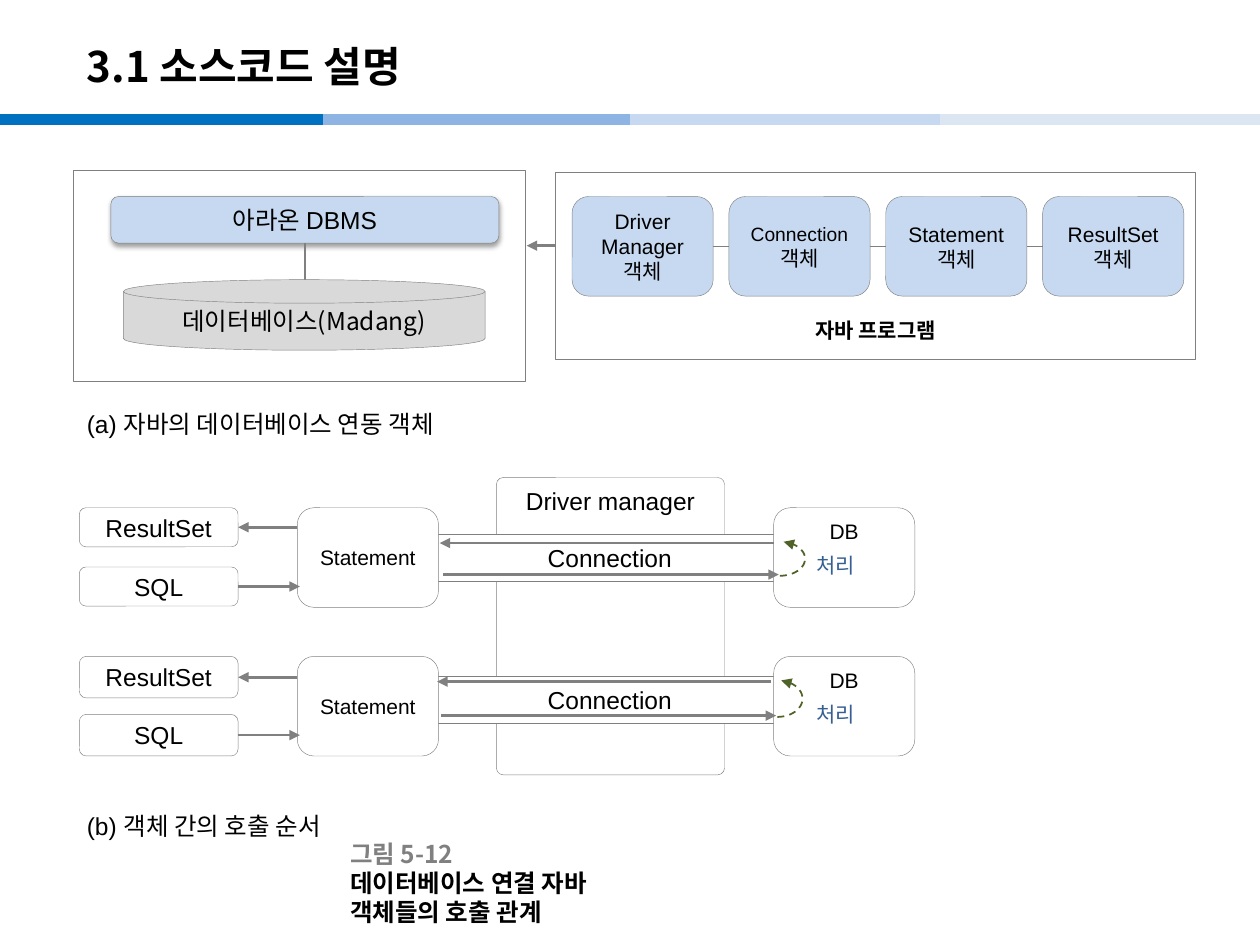
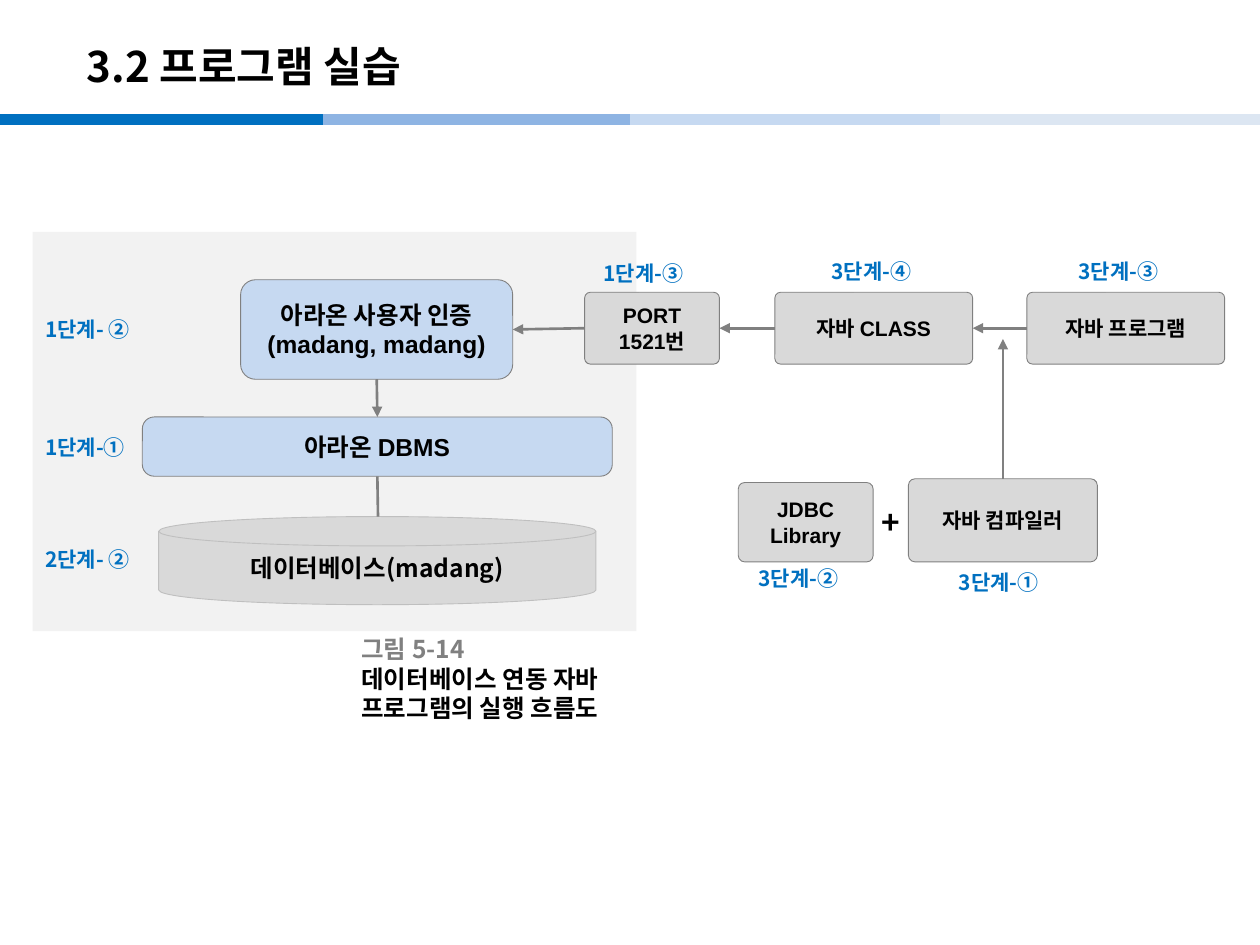
import math
from lxml import etree
from pptx import Presentation
from pptx.dml.color import RGBColor
from pptx.enum import dml, shapes, text
from pptx.oxml import ns
from pptx.util import Inches, Pt

LATIN, KOREAN = "Arial", "Noto Sans CJK KR"
BLACK, WHITE, GRAY, SILVER = "000000", "FFFFFF", "808080", "D9D9D9"
BLUE, PALE, GREEN = "0070C0", "C6D9F1", "4F6228"
BANDS = [(0, BLUE), (2.56, "8EB4E3"), (5, PALE), (7.46, "DCE6F2")]
ROUND = shapes.MSO_SHAPE.ROUNDED_RECTANGLE
RECT = shapes.MSO_SHAPE.RECTANGLE
DISK = shapes.MSO_SHAPE.FLOWCHART_MAGNETIC_DISK
CENTER, LEFT = text.PP_ALIGN.CENTER, text.PP_ALIGN.LEFT
MIDDLE, TOP, BOTTOM = (text.MSO_ANCHOR.MIDDLE, text.MSO_ANCHOR.TOP,
                       text.MSO_ANCHOR.BOTTOM)
UP, WEST, DOWN, EAST = range(4)


def rgb(value):
    return RGBColor.from_string(value)


def child(parent, tag, **attrs):
    return etree.SubElement(parent, ns.qn(tag), attrs)


def add_run(p, words, size, color, bold, font):
    r = p.add_run()
    r.text = words
    formats = {"size": Pt(size), "bold": bold, "name": font}
    for key, value in formats.items():
        setattr(r.font, key, value)
    r.font.color.rgb = rgb(color)
    child(r.font._element, "a:ea", typeface=KOREAN)


def write(sp, words, size=12, color=BLACK, bold=False, font=LATIN,
          align=CENTER, anchor=MIDDLE, wrap=True):
    tf = sp.text_frame
    for key, value in {"word_wrap": wrap, "vertical_anchor": anchor}.items():
        setattr(tf, key, value)
    for i, line in enumerate(words.split("\n")):
        p = tf.add_paragraph() if i else tf.paragraphs[0]
        p.alignment = align
        add_run(p, line, size, color, bold, font)
    return sp


def add_label(s, box, words, **fmt):
    sp = s.shapes.add_textbox(*map(Inches, box))
    return write(sp, words, **{"align": LEFT, "anchor": TOP, **fmt})


def add_box(s, kind, box, words="", fill=WHITE, line=GRAY, width=0.25,
            adj=None, **fmt):
    sp = s.shapes.add_shape(kind, *map(Inches, box))
    sp.shadow.inherit = False
    sp.fill.solid()
    sp.fill.fore_color.rgb = rgb(fill)
    if line:
        sp.line.color.rgb = rgb(line)
        sp.line.width = Pt(width)
    else:
        sp.line.fill.background()
    if adj is not None:
        sp.adjustments[0] = adj
    if words:
        write(sp, words, **fmt)
    return sp


def add_arrowhead(sp):
    child(sp.line._get_or_add_ln(), "a:tailEnd", type="triangle")


def add_line(s, start, end, color=GRAY, width=1.5, arrow=False):
    joins = [not isinstance(e[0], (int, float)) for e in (start, end)]
    points = [(0, 0) if join else e for join, e in zip(joins, (start, end))]
    c = s.shapes.add_connector(shapes.MSO_CONNECTOR.STRAIGHT,
                               *(Inches(v) for xy in points for v in xy))
    if joins[0]:
        c.begin_connect(*start)
    if joins[1]:
        c.end_connect(*end)
    c.line.color.rgb = rgb(color)
    c.line.width = Pt(width)
    if arrow:
        add_arrowhead(c)
    child(c._element.spPr, "a:effectLst")
    return c


def add_soft_shadow(sp):
    effects = sp._element.spPr.find(ns.qn("a:effectLst"))
    shadow = child(effects, "a:outerShdw", blurRad=str(Pt(3.1)),
                   dist=str(Pt(1.6)), dir="5400000", rotWithShape="0")
    child(child(shadow, "a:srgbClr", val=BLACK), "a:alpha", val="38000")


def add_turn(s, x, top, bottom):
    mid, radius = (top + bottom) / 2, (bottom - top) / 2
    angles = [math.pi * i / 24 for i in range(23)]
    points = [(Inches(x + 0.2 * math.sin(a)), Inches(mid + radius * math.cos(a)))
              for a in angles]
    fb = s.shapes.build_freeform(*points[0])
    fb.add_line_segments(points[1:] + [(Inches(x + 0.03), Inches(top))],
                         close=False)
    sp = fb.convert_to_shape()
    sp.shadow.inherit = False
    sp.fill.background()
    sp.line.color.rgb = rgb(GREEN)
    sp.line.width = Pt(1)
    sp.line.dash_style = dml.MSO_LINE.DASH
    add_arrowhead(sp)


def start_slide(prs, title):
    s = prs.slides.add_slide(prs.slide_layouts[6])
    for x, color in BANDS:
        add_line(s, (x, 0.95), (x + 2.56, 0.95), color, 6)
    add_label(s, (0.59, 0.22, 8.27, 0.6), title, size=24, bold=True,
              font=KOREAN, anchor=MIDDLE)
    return s


def add_caption(s, x, y, number, words):
    sp = add_label(s, (x, y, 2.09, 0.31), number, size=14, color=GRAY,
                   bold=True, font=KOREAN, anchor=MIDDLE, wrap=False)
    add_run(sp.text_frame.paragraphs[0], words, 14, BLACK, True, KOREAN)


def database_panel(s, x, y):
    add_box(s, RECT, (x, y, 3.59, 1.68))
    dbms = add_box(s, ROUND, (x + 0.3, y + 0.21, 3.08, 0.37), "아라온 DBMS",
                   PALE, size=14)
    add_soft_shadow(dbms)
    add_line(s, (dbms, DOWN), (x + 1.84, y + 0.87), width=1)
    add_box(s, DISK, (x + 0.4, y + 0.87, 2.87, 0.56), "데이터베이스(Madang)",
            SILVER, size=14, font=KOREAN)


def java_panel(s, x, y):
    panel = add_box(s, RECT, (x, y, 5.08, 1.48), "자바 프로그램",
                    bold=True, anchor=BOTTOM)
    panel.text_frame.margin_bottom = Inches(0.13)
    names = ["Driver Manager", "Connection", "Statement", "ResultSet"]
    previous = None
    for i, name in enumerate(names):
        sp = add_box(s, ROUND, (x + 0.13 + 1.245 * i, y + 0.19, 1.12, 0.79),
                     name + "\n객체", PALE)
        if name == "Connection":
            sp.text_frame.paragraphs[0].runs[0].font.size = Pt(11)
        if previous:
            add_line(s, (previous, EAST), (sp, WEST), width=0.25)
        previous = sp


def call_row(s, x, y, height, sql, pipe, back, forth, shift):
    add_box(s, RECT, (x + 2.36, y + pipe, 3.7, 0.37), "Connection", size=14)
    add_box(s, ROUND, (x + 1.73, y, 1.12, 0.79), "Statement")
    add_box(s, ROUND, (x + 5.51, y, 1.12, 0.79), "DB", anchor=TOP)
    result, query = [
        add_box(s, ROUND, (x, y + dy, 1.26, height), name, size=14)
        for dy, name in [(0, "ResultSet"), (sql, "SQL")]]
    middle = height / 2
    add_line(s, (x + 1.73, y + middle), (result, EAST), arrow=True)
    add_line(s, (query, EAST), (x + 1.75, y + sql + middle), arrow=True)
    left = x + shift
    add_line(s, (left + 5.51, y + back), (left + 2.86, y + back), arrow=True)
    add_line(s, (left + 2.89, y + forth), (left + 5.55, y + forth), arrow=True)
    add_turn(s, left + 5.56, y + back - 0.01, y + forth + 0.01)
    add_label(s, (x + 5.75, y + 0.31, 1.09, 0.3), "처리", color="376092",
              font=KOREAN)


def source_slide(prs):
    s = start_slide(prs, "3.1 소스코드 설명")
    database_panel(s, 0.58, 1.35)
    java_panel(s, 4.41, 1.37)
    add_line(s, (4.41, 1.95), (4.18, 1.95), arrow=True)
    for y, words in [(3.2, "(a) 자바의 데이터베이스 연동 객체"),
                     (6.39, "(b) 객체 간의 호출 순서")]:
        add_label(s, (0.59, y, 3.25, 0.34), words, size=14, wrap=False)
    add_box(s, ROUND, (3.94, 3.79, 1.81, 2.36), "Driver manager", adj=0.03,
            size=14, anchor=TOP)
    call_row(s, 0.63, 4.03, height=0.31, sql=0.47, pipe=0.21, back=0.28,
             forth=0.53, shift=0)
    call_row(s, 0.63, 5.21, height=0.33, sql=0.46, pipe=0.16, back=0.2,
             forth=0.47, shift=-0.02)
    add_caption(s, 2.68, 6.85, "그림 5-12 ",
                "데이터베이스 연결 자바 객체들의 호출 관계")


def add_step(s, x, y, words):
    add_label(s, (x, y, 1.09, 0.3), words, color=BLUE, bold=True, font=KOREAN)


def server_region(s, x, y):
    add_box(s, RECT, (x, y, 4.79, 3.17), fill="F2F2F2", line=None)
    look = {"width": 0.5, "size": 14, "bold": True}
    dbms = add_box(s, ROUND, (x + 0.87, y + 1.47, 3.73, 0.47), "아라온 DBMS",
                   PALE, adj=0.2, **look)
    login = add_box(s, ROUND, (x + 1.65, y + 0.38, 2.16, 0.79),
                    "아라온 사용자 인증\n(madang, madang)", PALE, adj=0.15, **look)
    add_box(s, DISK, (x + 1, y + 2.26, 3.47, 0.7), "데이터베이스(madang)",
            SILVER, line="BFBFBF", font=KOREAN, **look)
    add_line(s, (login, DOWN), (dbms, UP), arrow=True)
    add_line(s, (dbms, DOWN), (x + 2.74, y + 2.26))
    for dy, words in [(0.62, "1단계- ②"), (1.56, "1단계-①"), (2.45, "2단계- ②")]:
        add_step(s, x, y + dy, words)
    return login


def client_region(s, x, y, login):
    parts = [(0, 0, 1.07, 0.57, "PORT\n1521번", 0.05, -0.3, "1단계-③"),
             (1.51, 0, 1.57, 0.57, "자바 CLASS", 0.35, -0.32, "3단계-④"),
             (3.51, 0, 1.57, 0.57, "자바 프로그램", 0.31, -0.32, "3단계-③"),
             (1.22, 1.51, 1.07, 0.63, "JDBC\nLibrary", 0.06, 0.61, "3단계-②"),
             (2.57, 1.48, 1.5, 0.66, "자바 컴파일러", 0.3, 0.67, "3단계-①")]
    boxes = []
    for dx, dy, w, h, words, step_x, step_y, step in parts:
        left, top = x + dx, y + dy
        boxes.append(add_box(s, ROUND, (left, top, w, h), words, SILVER,
                             width=0.5, adj=0.08, bold=True))
        add_step(s, left + step_x, top + step_y, step)
    port, klass, program, _, compiler = boxes
    for source, target in [(program, klass), (klass, port), (port, login)]:
        add_line(s, (source, WEST), (target, EAST), arrow=True)
    add_line(s, (compiler, UP), (x + 3.32, y + 0.37), arrow=True)
    add_label(s, (x + 2.26, y + 1.62, 0.4, 0.4), "+", size=18, bold=True,
              font=KOREAN)


def flow_slide(prs):
    s = start_slide(prs, "3.2 프로그램 실습")
    login = server_region(s, 0.26, 1.84)
    client_region(s, 4.64, 2.32, login)
    add_caption(s, 2.77, 5.23, "그림 5-14 ",
                "데이터베이스 연동 자바 프로그램의 실행 흐름도")


def main():
    prs = Presentation()
    prs.slide_width, prs.slide_height = Inches(10), Inches(7.5)
    source_slide(prs)
    flow_slide(prs)
    prs.save("out.pptx")


if __name__ == "__main__":
    main()
